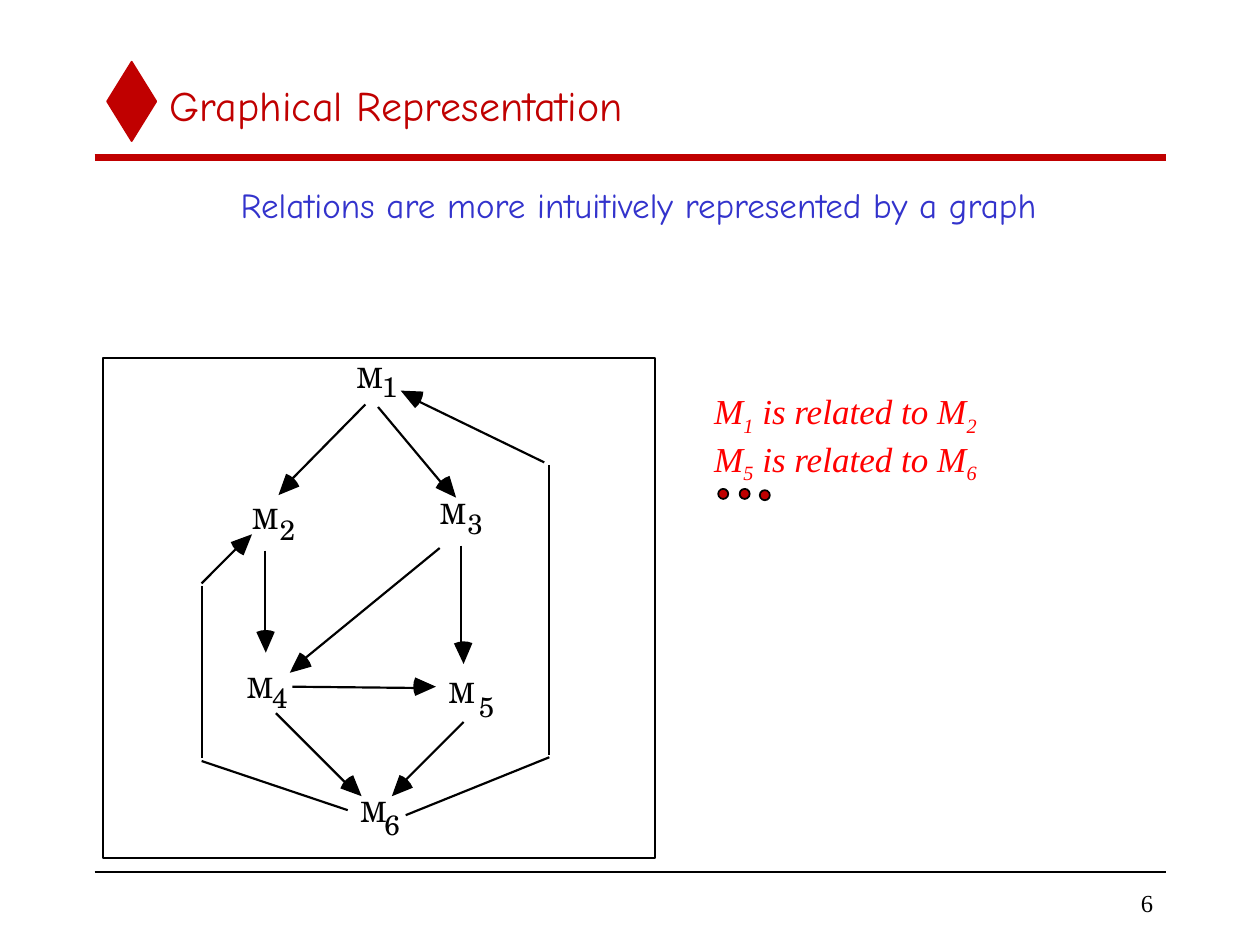
import math
import pptx
import pptx.dml.color
import pptx.enum.shapes
import pptx.enum.text
import pptx.oxml.ns
import pptx.util
from lxml import etree

Inches = pptx.util.Inches
Pt = pptx.util.Pt
SHAPE = pptx.enum.shapes.MSO_SHAPE
ALIGN = pptx.enum.text.PP_ALIGN
ANCHOR = pptx.enum.text.MSO_ANCHOR

THEME = {
    "accent": "C00000", "statement": "3333CC", "relation": "FF0000",
    "ink": "000000", "paper": "FFFFFF",
    "heading_font": "Comic Neue", "node_font": "TeX Gyre Schola", "body_font": "Times New Roman",
    "title_size": 24, "text_size": 20, "node_size": 16, "number_size": 14,
}

title = "Graphical Representation"
statement = "Relations are more intuitively represented by a graph"
page_number = "6"
relations = [("1", "2"), ("5", "6")]

node_letters = [
    ("M", (2.83, 2.86)), ("M", (2, 3.98)), ("M", (3.49, 3.94)),
    ("M", (1.96, 5.32)), ("M", (3.56, 5.36)), ("M", (2.86, 6.31)),
]
node_numbers = [
    ("1", (3.03, 2.93)), ("2", (2.22, 4.07)), ("3", (3.71, 4.02)),
    ("4", (2.16, 5.4)), ("5", (3.8, 5.47)), ("6", (3.05, 6.41)),
]
arrows = [
    ((2.9, 3.21), (2.3, 3.82), (2.21, 3.93)),
    ((3, 3.23), (3.51, 3.84), (3.62, 3.95)),
    ((2.1, 4.37), (2.1, 5.03), (2.11, 5.18)),
    ((3.49, 4.35), (2.39, 5.25), (2.3, 5.34)),
    ((2.32, 5.45), (3.29, 5.46), (3.46, 5.45)),
    ((3.66, 4.33), (3.66, 5.12), (3.68, 5.27)),
    ((2.19, 5.66), (2.74, 6.21), (2.87, 6.32)),
    ((3.68, 5.73), (3.2, 6.21), (3.11, 6.32)),
    ((1.6, 4.63), (1.88, 4.35), (2, 4.24)),
    ((4.32, 3.67), (3.29, 3.17), (3.18, 3.1)),
]
return_paths = [
    ((1.6, 4.65), (1.6, 6.02)),
    ((1.6, 6.04), (2.76, 6.43)),
    ((4.36, 3.69), (4.36, 5.99)),
    ((4.36, 6.01), (3.22, 6.47)),
]
ellipsis_dots = [(5.7, 3.88), (5.87, 3.88), (6.03, 3.89)]
DOT_SIZE = 0.08
HEAD_LENGTH = 0.18
HEAD_HALF_ANGLE = 24
HEAD_STEPS = 4

deck = pptx.Presentation()
deck.slide_width, deck.slide_height = Inches(10), Inches(7.5)
slide = deck.slides.add_slide(deck.slide_layouts[6])


def color(role):
    return pptx.dml.color.RGBColor.from_string(THEME[role])


def paint(shape, fill, line=None):
    shape.shadow.inherit = False
    shape.fill.solid()
    shape.fill.fore_color.rgb = color(fill)
    if line:
        shape.line.color.rgb = color(line)
        shape.line.width = Pt(1)
    else:
        shape.line.fill.background()


def add_preset(kind, box, fill, line):
    paint(slide.shapes.add_shape(kind, *map(Inches, box)), fill, line)


def add_line(start, end, role, width):
    line = slide.shapes.add_connector(
        pptx.enum.shapes.MSO_CONNECTOR.STRAIGHT, *map(Inches, start + end))
    line.line.color.rgb = color(role)
    line.line.width = Pt(width)
    etree.SubElement(line._element.spPr, pptx.oxml.ns.qn("a:effectLst"))


def add_head(start, tip):
    back = math.atan2(start[1] - tip[1], start[0] - tip[0])
    spread = math.radians(HEAD_HALF_ANGLE)
    angles = [back + spread * (2 * step / HEAD_STEPS - 1) for step in range(HEAD_STEPS + 1)]
    arc = [(Inches(tip[0] + HEAD_LENGTH * math.cos(angle)),
            Inches(tip[1] + HEAD_LENGTH * math.sin(angle))) for angle in angles]
    outline = slide.shapes.build_freeform(Inches(tip[0]), Inches(tip[1]))
    outline.add_line_segments(arc, close=True)
    paint(outline.convert_to_shape(), "ink")


def add_text(box, paragraphs, font, size, role, align=ALIGN.LEFT, anchor=ANCHOR.TOP,
             wrap=True, margins=(0.1, 0.05), italic=False):
    frame = slide.shapes.add_textbox(*map(Inches, box)).text_frame
    frame.word_wrap = wrap
    frame.vertical_anchor = anchor
    frame.margin_left = frame.margin_right = Inches(margins[0])
    frame.margin_top = frame.margin_bottom = Inches(margins[1])
    for index, pieces in enumerate(paragraphs):
        paragraph = frame.add_paragraph() if index else frame.paragraphs[0]
        paragraph.alignment = align
        paragraph.font.name = THEME[font]
        paragraph.font.size = Pt(THEME[size])
        paragraph.font.color.rgb = color(role)
        paragraph.font.italic = italic
        for words, is_subscript in pieces:
            run = paragraph.add_run()
            run.text = words
            if is_subscript:
                run.font._element.set("baseline", "-25000")


def plain(words):
    return [[(words, False)]]


add_preset(SHAPE.DIAMOND, (0.85, 0.49, 0.39, 0.63), "accent", "accent")
add_line((0.75, 1.25), (9.25, 1.25), "accent", 4)
add_line((0.75, 6.92), (9.25, 6.92), "ink", 1)
add_text((7.83, 7, 1.42, 0.33), plain(page_number), "body_font", "number_size", "ink",
         align=ALIGN.RIGHT, anchor=ANCHOR.MIDDLE)
add_preset(SHAPE.RECTANGLE, (0.82, 2.84, 4.38, 3.97), "paper", "ink")
add_text((1.25, 0.5, 8, 0.67), plain(title), "heading_font", "title_size", "accent",
         anchor=ANCHOR.MIDDLE)
add_text((0.82, 1.41, 8.5, 5.36), plain(statement), "heading_font", "text_size", "statement",
         align=ALIGN.CENTER)

for start, end, tip in arrows:
    add_head(start, tip)
    add_line(start, end, "ink", 1.25)
for start, end in return_paths:
    add_line(start, end, "ink", 1.25)

for labels, width in ((node_letters, 0.21), (node_numbers, 0.12)):
    for words, corner in labels:
        add_text((*corner, width, 0.27), plain(words), "node_font", "node_size", "ink",
                 wrap=False, margins=(0, 0))

add_text((5.57, 3.04, 2.29, 1.24),
         [[("M", False), (source, True), (" is related to M", False), (target, True)]
          for source, target in relations],
         "body_font", "text_size", "relation", wrap=False, italic=True)
for dot in ellipsis_dots:
    add_preset(SHAPE.OVAL, (*dot, DOT_SIZE, DOT_SIZE), "accent", "ink")

deck.save("out.pptx")
